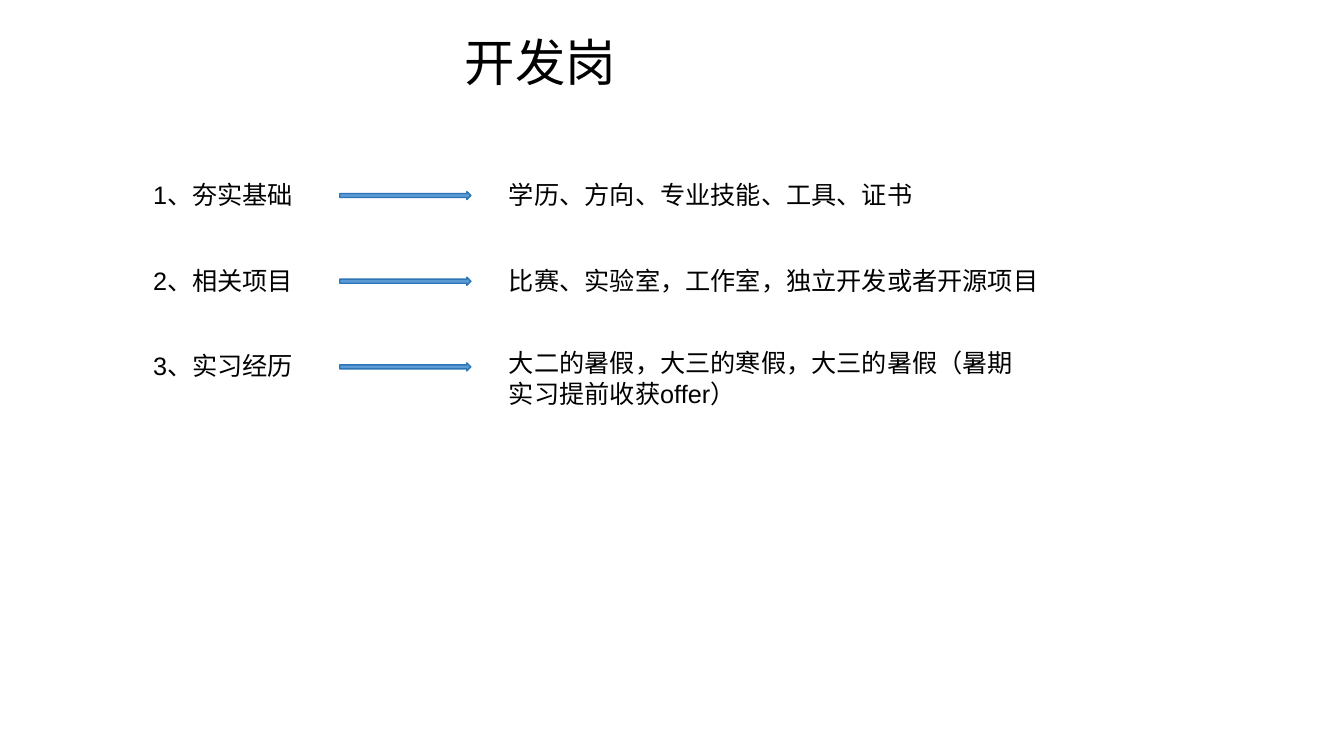
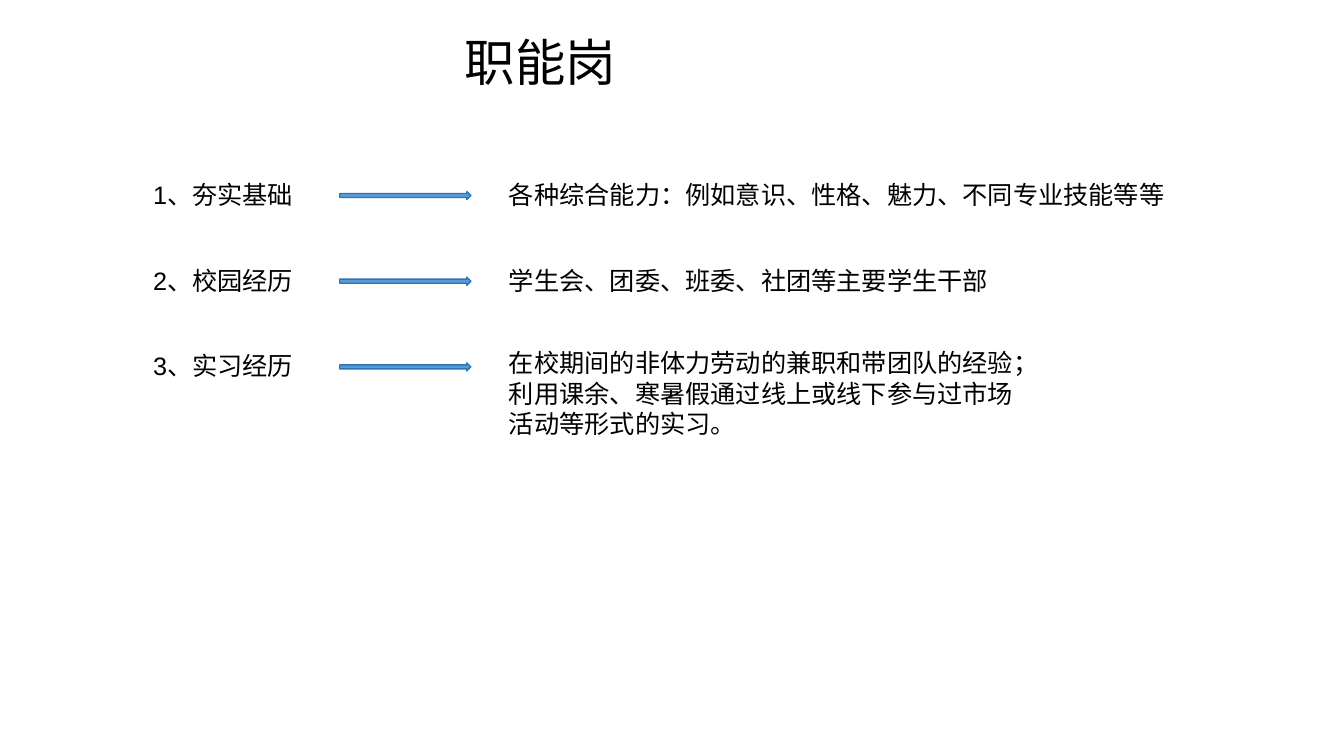
from pptx import Presentation
from pptx.dml.color import RGBColor
from pptx.enum.shapes import MSO_SHAPE
from pptx.enum.text import MSO_AUTO_SIZE
from pptx.util import Inches, Pt

BLACK = RGBColor(0x00, 0x00, 0x00)
SKY = RGBColor(0x5B, 0x9B, 0xD5)
STEEL = RGBColor(0x2E, 0x75, 0xB6)
FONT = "Arial"

ROW_TOP = 1.73
ROW_PITCH = 0.85
LINE_HEIGHT = 0.4
ARROW_DROP = 0.17

CAREERS = [
    ("开发岗", [
        ("1、夯实基础", "学历、方向、专业技能、工具、证书", 4.47, LINE_HEIGHT, 0),
        ("2、相关项目", "比赛、实验室，工作室，独立开发或者开源项目", 5.53, LINE_HEIGHT, 0),
        ("3、实习经历", "大二的暑假，大三的寒假，大三的暑假（暑期实习提前收获offer）",
         5.3, 0.71, -0.03),
    ]),
    ("职能岗", [
        ("1、夯实基础", "各种综合能力：例如意识、性格、魅力、不同专业技能等等",
         7.43, LINE_HEIGHT, 0),
        ("2、校园经历", "学生会、团委、班委、社团等主要学生干部", 5.53, LINE_HEIGHT, 0),
        ("3、实习经历",
         "在校期间的非体力劳动的兼职和带团队的经验；利用课余、寒暑假通过线上或线下参与过市场活动等形式的实习。",
         5.3, 1.01, -0.03),
    ]),
]


def write(frame, text, size=18, color=BLACK, font=FONT):
    frame.word_wrap = True
    frame.auto_size = MSO_AUTO_SIZE.SHAPE_TO_FIT_TEXT
    run = frame.paragraphs[0].add_run()
    run.text = text
    run.font.name = font
    run.font.size = Pt(size)
    run.font.color.rgb = color


class CareerDeck:
    def __init__(self):
        self.deck = Presentation()
        self.deck.slide_width = Inches(13.33)
        self.deck.slide_height = Inches(7.5)
        self.slide = None

    def start(self, title):
        self.slide = self.deck.slides.add_slide(self.deck.slide_layouts[6])
        self.text(title, 4.51, 0.26, 3.32, 0.71, size=36)

    def text(self, words, left, top, width, height, **style):
        box = self.slide.shapes.add_textbox(
            Inches(left), Inches(top), Inches(width), Inches(height))
        write(box.text_frame, words, **style)

    def arrow(self, top):
        arrow = self.slide.shapes.add_shape(
            MSO_SHAPE.RIGHT_ARROW,
            Inches(3.37), Inches(top), Inches(1.3), Inches(0.08))
        arrow.shadow.inherit = False
        arrow.fill.solid()
        arrow.fill.fore_color.rgb = SKY
        arrow.line.color.rgb = STEEL
        arrow.line.width = Pt(1)

    def row(self, index, step, detail, width, height, shift):
        top = ROW_TOP + index * ROW_PITCH
        self.text(step, 1.42, top, 1.83, LINE_HEIGHT)
        self.arrow(top + ARROW_DROP)
        self.text(detail, 4.95, top + shift, width, height)


def main():
    careers = CareerDeck()
    for title, steps in CAREERS:
        careers.start(title)
        for index, step in enumerate(steps):
            careers.row(index, *step)
    careers.deck.save("out.pptx")


if __name__ == "__main__":
    main()
